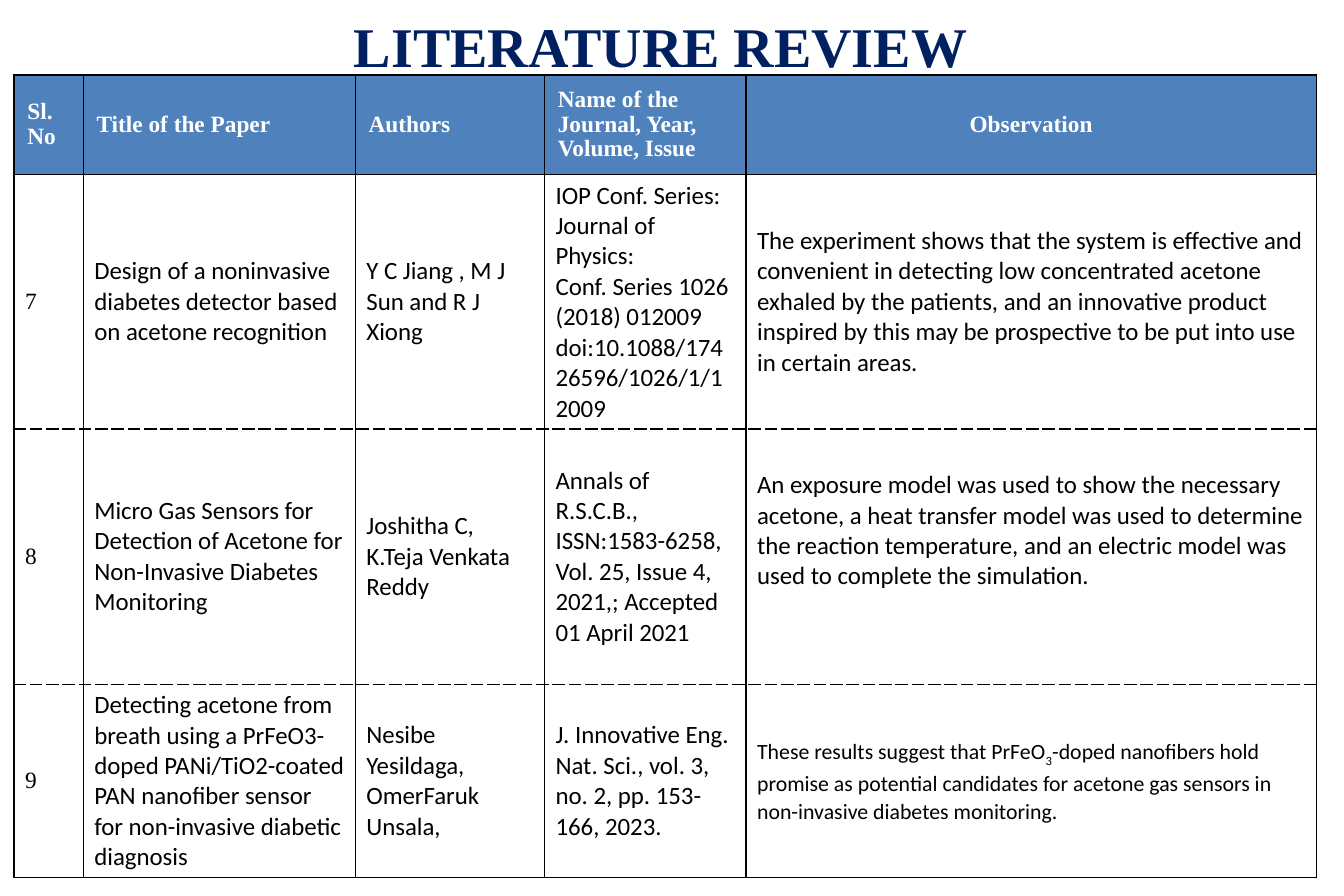
from lxml import etree
from pptx import Presentation
from pptx import util as u
from pptx.dml import color
from pptx.enum import text
from pptx.oxml import ns

NAVY = color.RGBColor(0x00, 0x20, 0x60)
BLUE = color.RGBColor(0x4F, 0x81, 0xBD)
WHITE = color.RGBColor(0xFF, 0xFF, 0xFF)
BLACK = color.RGBColor(0x00, 0x00, 0x00)

SERIF, SANS = "Times New Roman", "Calibri"
HEAD = {"name": SERIF, "size": u.Pt(15), "bold": True}
MARK = {"name": SERIF, "size": u.Pt(15), "bold": False}
BODY = {"name": SANS, "size": u.Pt(16), "bold": False}
NOTE = {"name": SANS, "size": u.Pt(14), "bold": False}
TITLE = {"name": SERIF, "size": u.Pt(36), "bold": True}

WIDTHS = [1.57, 6.17, 4.29, 4.57, 12.93]
HEIGHTS = [2.26, 5.77, 5.79, 4.39]
ROWS = [
    ["Sl. No", "Title of the Paper", "Authors",
     "Name of the Journal, Year, Volume, Issue", "Observation"],
    ["7",
     "Design of a noninvasive diabetes detector based on acetone recognition",
     "Y C Jiang , M J Sun and R J Xiong",
     "IOP Conf. Series: Journal of Physics:\n"
     "Conf. Series 1026 (2018) 012009 doi:10.1088/17426596/1026/1/12009",
     "The experiment shows that the system is effective and convenient in "
     "detecting low concentrated acetone exhaled by the patients, and an "
     "innovative product inspired by this may be prospective to be put into "
     "use in certain areas."],
    ["8",
     "Micro Gas Sensors for Detection of Acetone for Non-Invasive Diabetes "
     "Monitoring",
     "Joshitha C,\nK.Teja Venkata Reddy",
     "Annals of R.S.C.B., ISSN:1583-6258, Vol. 25, Issue 4, 2021,; Accepted "
     "01 April 2021",
     "An exposure model was used to show the necessary acetone, a heat "
     "transfer model was used to determine the reaction temperature, and an "
     "electric model was used to complete the simulation."],
    ["9",
     "Detecting acetone from breath using a PrFeO3-doped PANi/TiO2-coated PAN "
     "nanofiber sensor for non-invasive diabetic diagnosis",
     "Nesibe Yesildaga, OmerFaruk Unsala,",
     "J. Innovative Eng. Nat. Sci., vol. 3, no. 2, pp. 153-166, 2023.",
     "These results suggest that PrFeO|3|-doped nanofibers hold promise as "
     "potential candidates for acetone gas sensors in non-invasive diabetes "
     "monitoring."],
]


class Deck:
    def __init__(self, wide, high):
        self.prs = Presentation()
        self.prs.slide_width, self.prs.slide_height = u.Cm(wide), u.Cm(high)
        self.slide = self.prs.slides.add_slide(self.prs.slide_layouts[6])

    def apply(self, item, style):
        for name, value in style.items():
            setattr(item, name, value)

    def words(self, frame, words, style, tint, align, space=None):
        frame.word_wrap = True
        for i, line in enumerate(words.split("\n")):
            para = frame.add_paragraph() if i else frame.paragraphs[0]
            self.apply(para, {"alignment": align, "line_spacing": space})
            for j, part in enumerate(line.split("|")):
                run = para.add_run()
                run.text = part
                self.apply(run.font, style)
                run.font.color.rgb = tint
                if j % 2:
                    run._r.get_or_add_rPr().set("baseline", "-25000")

    def label(self, words, area, style, tint):
        box = self.slide.shapes.add_textbox(*map(u.Cm, area))
        box.text_frame.vertical_anchor = text.MSO_ANCHOR.MIDDLE
        self.words(box.text_frame, words, style, tint, text.PP_ALIGN.CENTER)

    def edge(self, cell, dashes):
        props = cell._tc.get_or_add_tcPr()
        for side in "LRTB":
            line = etree.SubElement(props, ns.qn("a:ln" + side), w="12700")
            fill = etree.SubElement(line, ns.qn("a:solidFill"))
            etree.SubElement(fill, ns.qn("a:srgbClr"), val=str(BLACK))
            dash = "sysDash" if side in dashes else "solid"
            etree.SubElement(line, ns.qn("a:prstDash"), val=dash)

    def cell(self, cell, words, row, col):
        top, last = row == 0, col == len(WIDTHS) - 1
        side, rim = (0.3, 0.18) if top else (0.25, 0.13)
        self.apply(cell, {
            "margin_left": u.Cm(side), "margin_right": u.Cm(side),
            "margin_top": u.Cm(rim), "margin_bottom": u.Cm(rim),
            "vertical_anchor": text.MSO_ANCHOR.MIDDLE})
        if row == 2 and last:
            cell.margin_bottom = u.Cm(1.3)
        note = row == 3 and last
        style = HEAD if top else MARK if col == 0 else NOTE if note else BODY
        align = text.PP_ALIGN.CENTER if top and last else text.PP_ALIGN.LEFT
        space = 0.95 if top else 1.07 if note else None
        tint = WHITE if top else BLACK
        self.words(cell.text_frame, words, style, tint, align, space)
        self.edge(cell, {1: "B", 2: "TB", 3: "T"}.get(row, ""))
        if top:
            cell.fill.solid()
            cell.fill.fore_color.rgb = BLUE
        else:
            cell.fill.background()

    def table(self, rows, left, top):
        area = map(u.Cm, (left, top, sum(WIDTHS), sum(HEIGHTS)))
        grid = self.slide.shapes.add_table(
            len(HEIGHTS), len(WIDTHS), *area).table
        self.apply(grid, {"first_row": False, "horz_banding": False})
        for col, wide in zip(grid.columns, WIDTHS):
            col.width = u.Cm(wide)
        for r, (row, high) in enumerate(zip(grid.rows, HEIGHTS)):
            row.height = u.Cm(high)
            for c, words in enumerate(rows[r]):
                self.cell(grid.cell(r, c), words, r, c)


def main():
    deck = Deck(30.48, 20.32)
    deck.label("LITERATURE REVIEW", (1.27, -0.84, 27.43, 3.71), TITLE, NAVY)
    deck.table(ROWS, 0.32, 1.7)
    deck.prs.save("out.pptx")


if __name__ == "__main__":
    main()
